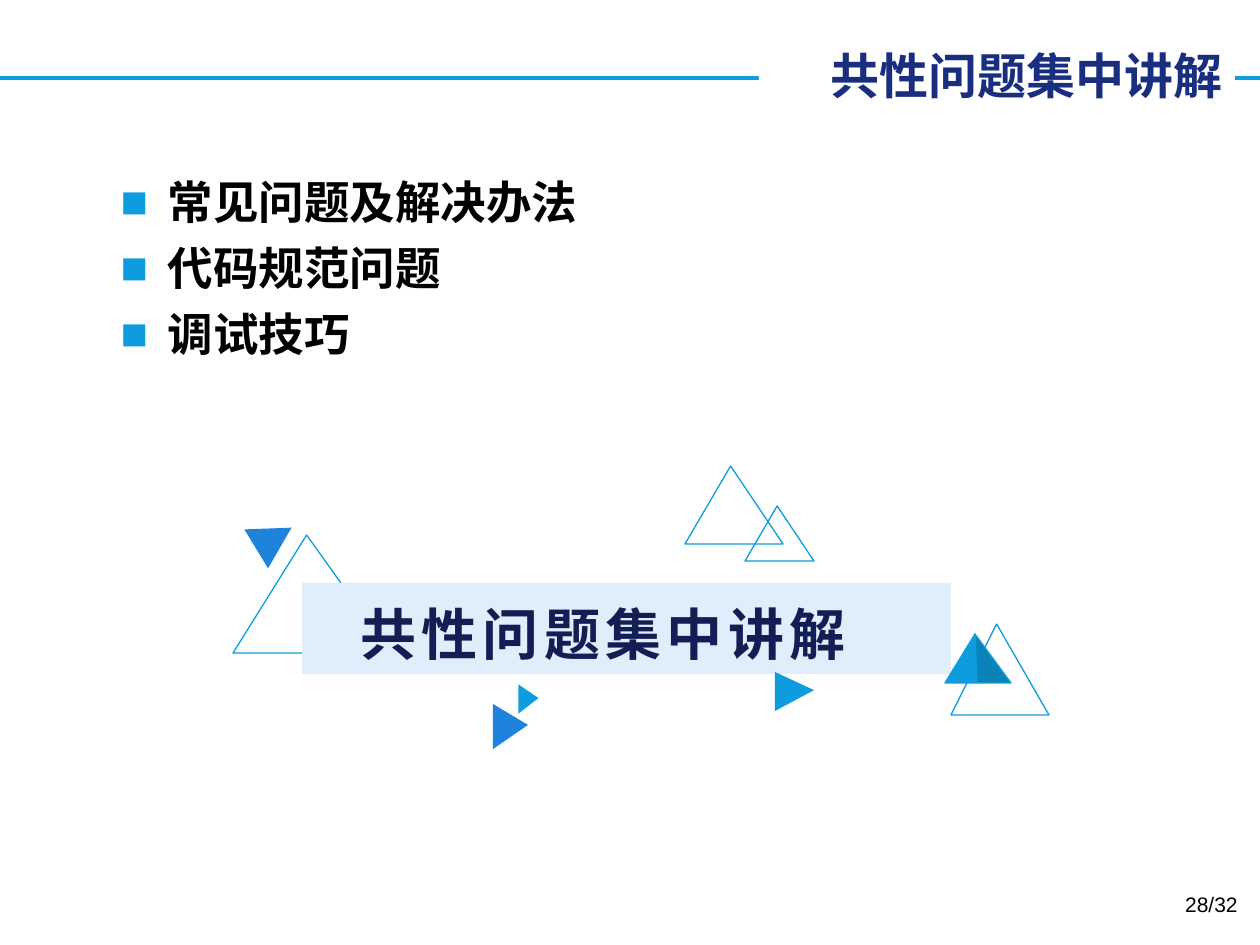
from dataclasses import dataclass

from lxml import etree
from pptx import Presentation
from pptx.dml.color import RGBColor
from pptx.enum import shapes, text
from pptx.oxml import ns
from pptx.util import Pt

PX = 914400 / 126  # EMU per px
WIDTH, HEIGHT = 1260, 945


@dataclass(frozen=True)
class Theme:
    latin: str = "Arial"
    cjk: str = "Noto Sans CJK SC"
    accent: str = "0E9CDE"
    accent_dark: str = "0C83B8"
    blue: str = "1F82DB"
    pale: str = "E0EEFB"
    white: str = "FFFFFF"
    black: str = "000000"
    title: str = "1A2E7F"
    banner: str = "121E54"
    title_size: int = 28
    list_size: int = 26
    banner_size: int = 32
    number_size: int = 12


THEME = Theme()
TOPIC = "共性问题集中讲解"
ITEMS = ["常见问题及解决办法", "代码规范问题", "调试技巧"]

# left, top, width, height, rotation, fill (None: outline only)
TRIANGLES_BEHIND = [
    (233, 535, 158, 118, 0, None),
    (951, 624, 98, 91, 0, None),
    (514, 689, 29, 20, 90, THEME.accent),
    (239, 518, 47, 40, 300, THEME.blue),
]
TRIANGLES_FRONT = [
    (745, 506, 69, 55, 0, None),
    (685, 466, 98, 78, 0, None),
    (488, 709, 45, 35, 90, THEME.blue),
    (775, 672, 39, 39, 90, THEME.accent),
]


def px(*lengths):
    return [round(length * PX) for length in lengths]


def rgb(value):
    return RGBColor.from_string(value)


def place(shape, *box):
    shape.left, shape.top, shape.width, shape.height = px(*box)


def paint(shape, fill=None, line=None):
    shape.shadow.inherit = False
    if fill:
        shape.fill.solid()
        shape.fill.fore_color.rgb = rgb(fill)
    else:
        shape.fill.background()
    if line:
        shape.line.color.rgb = rgb(line)
        shape.line.width = Pt(0.75)
    else:
        shape.line.fill.background()


def style(paragraph, size, color, font, bold=True, align=text.PP_ALIGN.LEFT):
    paragraph.alignment = align
    for run in paragraph.runs:
        run.font.size, run.font.bold, run.font.name = Pt(size), bold, font
        run.font.color.rgb = rgb(color)
        east_asian = etree.SubElement(run.font._element, ns.qn("a:ea"))
        east_asian.set("typeface", THEME.cjk)


def add_bullet(paragraph, indent):
    props = paragraph._p.get_or_add_pPr()
    props.set("marL", str(indent))
    props.set("indent", str(-indent))
    color = etree.SubElement(props, ns.qn("a:buClr"))
    etree.SubElement(color, ns.qn("a:srgbClr")).set("val", THEME.accent)
    etree.SubElement(props, ns.qn("a:buFont")).set("typeface", THEME.latin)
    etree.SubElement(props, ns.qn("a:buChar")).set("char", "■")


def add_rule(slide):
    x1, x2, y = px(0, WIDTH, 78)
    rule = slide.shapes.add_connector(shapes.MSO_CONNECTOR.STRAIGHT, x1, y, x2, y)
    rule.line.color.rgb = rgb(THEME.accent)
    rule.line.width = Pt(2.25)
    etree.SubElement(rule._element.spPr, ns.qn("a:effectLst"))
    # Send it behind the title
    slide.shapes._spTree.insert(2, rule._element)


def fill_title(title):
    place(title, 759, 39, 476, 72)
    title.fill.solid()
    title.fill.fore_color.rgb = rgb(THEME.white)
    frame = title.text_frame
    frame.text = TOPIC
    frame.auto_size = text.MSO_AUTO_SIZE.NONE
    frame.vertical_anchor = text.MSO_ANCHOR.MIDDLE
    style(frame.paragraphs[0], THEME.title_size, THEME.title, THEME.cjk,
          align=text.PP_ALIGN.RIGHT)


def fill_list(body):
    place(body, 108, 168, 1053, 709)
    frame = body.text_frame
    frame.text = "\n".join(ITEMS)
    frame.auto_size = text.MSO_AUTO_SIZE.NONE
    frame.vertical_anchor = text.MSO_ANCHOR.TOP
    for item in frame.paragraphs:
        style(item, THEME.list_size, THEME.black, THEME.latin)
        item.space_before = Pt(6.5)
        add_bullet(item, px(47)[0])


def add_triangle(slide, left, top, width, height, rotation, fill):
    triangle = slide.shapes.add_shape(
        shapes.MSO_SHAPE.ISOSCELES_TRIANGLE, *px(left, top, width, height))
    triangle.adjustments[0] = 0.466
    triangle.rotation = rotation
    paint(triangle, fill, None if fill else THEME.accent)


def add_facet(slide, outer_x, fill):
    builder = slide.shapes.build_freeform(outer_x, 683, scale=PX)
    builder.add_line_segments([(975, 634), (977, 683)], close=True)
    paint(builder.convert_to_shape(), fill, THEME.accent)


def add_banner(slide):
    banner = slide.shapes.add_shape(
        shapes.MSO_SHAPE.RECTANGLE, *px(302, 583, 649, 91))
    paint(banner, THEME.pale)
    frame = banner.text_frame
    frame.text = TOPIC
    frame.vertical_anchor = text.MSO_ANCHOR.TOP
    # The wide right inset sets the words left of centre
    (frame.margin_left, frame.margin_top,
     frame.margin_right, frame.margin_bottom) = px(13, 16, 60, 6)
    style(frame.paragraphs[0], THEME.banner_size, THEME.banner, THEME.cjk,
          align=text.PP_ALIGN.CENTER)
    frame.paragraphs[0].runs[0].font._element.set("spc", "300")


def add_page_number(slide):
    number = slide.shapes.add_textbox(*px(956, 885, 294, 50))
    frame = number.text_frame
    frame.word_wrap = True
    frame.text = "28/32"
    style(frame.paragraphs[0], THEME.number_size, THEME.black, THEME.latin,
          bold=False, align=text.PP_ALIGN.RIGHT)


def main():
    deck = Presentation()
    deck.slide_width, deck.slide_height = px(WIDTH, HEIGHT)
    slide = deck.slides.add_slide(deck.slide_layouts[1])

    # Heading and list
    add_rule(slide)
    fill_title(slide.shapes.title)
    fill_list(slide.placeholders[1])

    # Banner among triangles
    for triangle in TRIANGLES_BEHIND:
        add_triangle(slide, *triangle)
    add_banner(slide)
    for triangle in TRIANGLES_FRONT:
        add_triangle(slide, *triangle)

    # Two-tone pyramid
    add_facet(slide, 945, THEME.accent)
    add_facet(slide, 1011, THEME.accent_dark)

    add_page_number(slide)
    deck.save("out.pptx")


if __name__ == "__main__":
    main()
